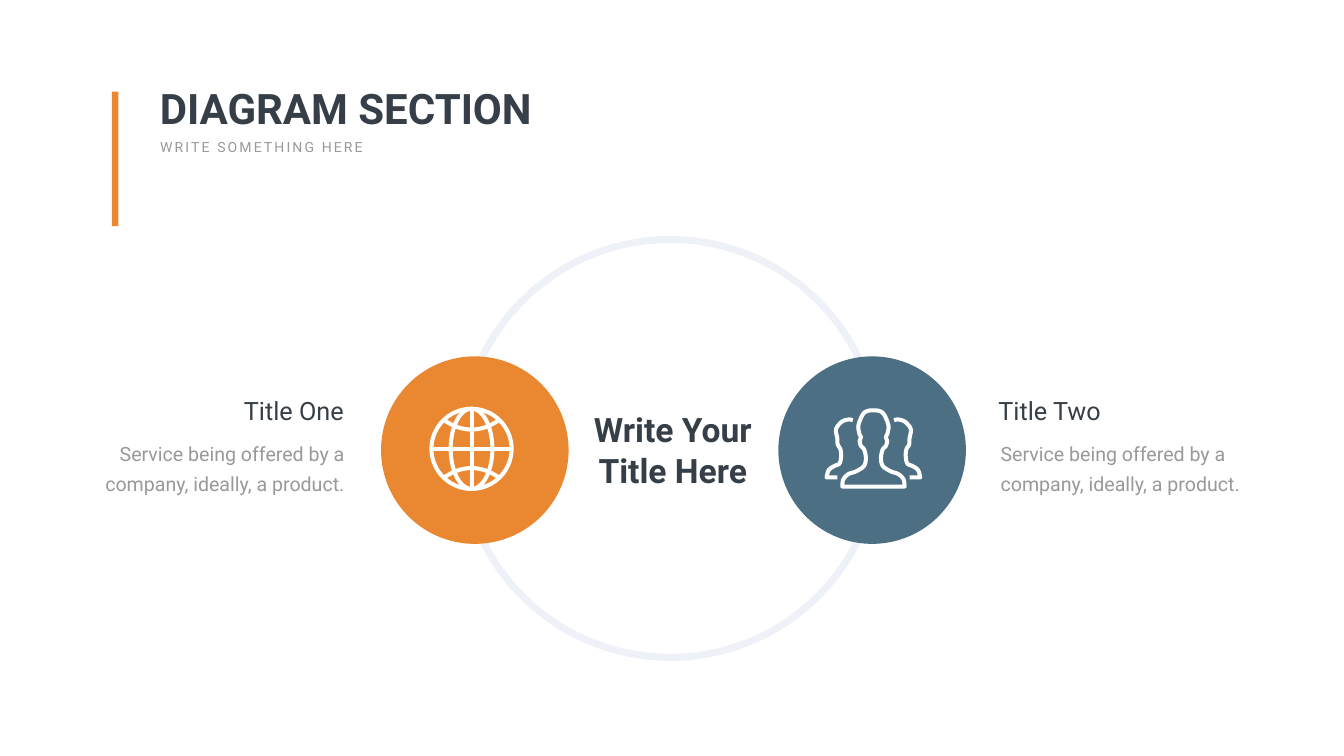
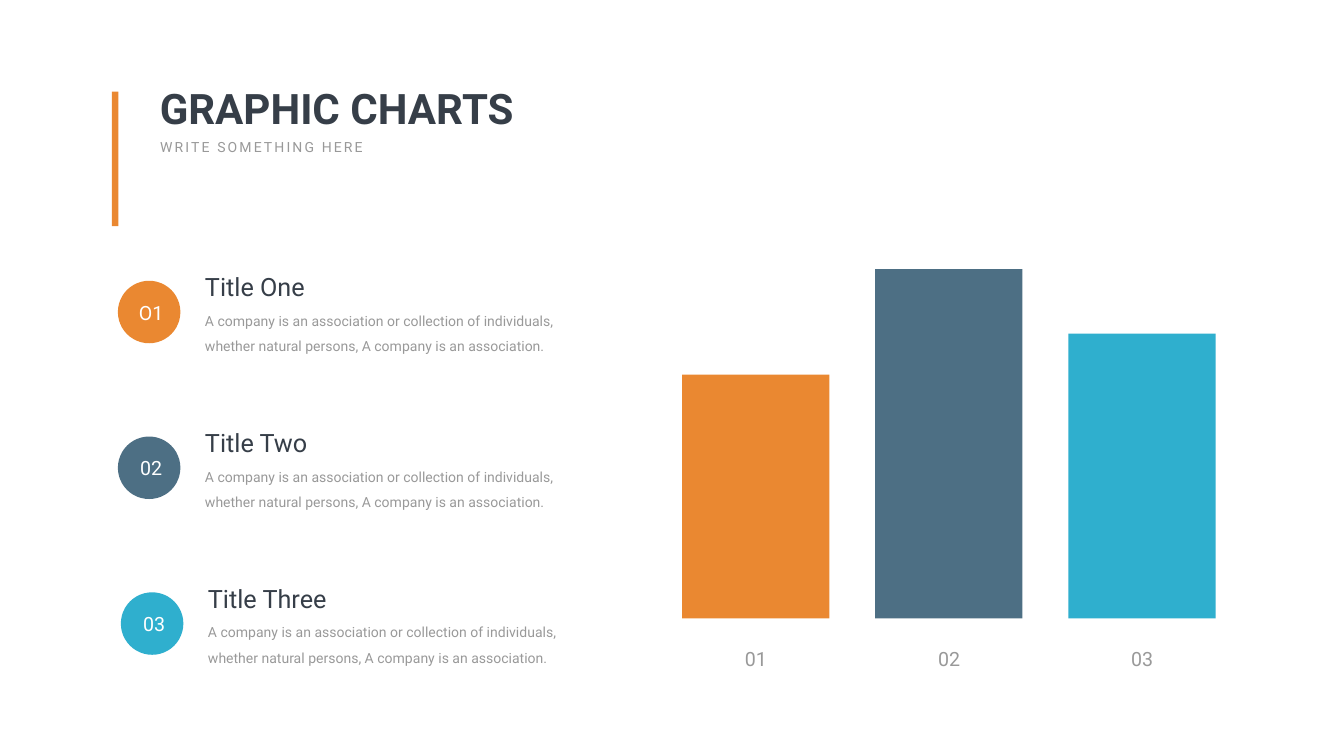
"""Build a two-slide deck: a circle diagram and a bar graphic."""
from dataclasses import dataclass
from math import cos, pi, sin

from pptx import Presentation
from pptx.dml.color import RGBColor
from pptx.enum.shapes import MSO_SHAPE
from pptx.enum.text import MSO_ANCHOR, MSO_AUTO_SIZE, PP_ALIGN
from pptx.shapes.autoshape import Shape
from pptx.slide import Slide
from pptx.text.text import TextFrame
from pptx.util import Cm, Length, Pt

LEFT, CENTER, RIGHT = PP_ALIGN.LEFT, PP_ALIGN.CENTER, PP_ALIGN.RIGHT
TOP = MSO_ANCHOR.TOP
NO_AUTOFIT = MSO_AUTO_SIZE.NONE
OVAL, RECTANGLE = MSO_SHAPE.OVAL, MSO_SHAPE.RECTANGLE

ORANGE = RGBColor(0xEA, 0x88, 0x31)
STEEL = RGBColor(0x4D, 0x6F, 0x84)
CYAN = RGBColor(0x2F, 0xAF, 0xCE)
DARK = RGBColor(0x36, 0x3E, 0x48)
GRAY = RGBColor(0x99, 0x99, 0x99)
PALE = RGBColor(0xEF, 0xF1, 0xF8)
WHITE = RGBColor(0xFF, 0xFF, 0xFF)

FONT = "Roboto"
TITLE_ONLY = 5
ICON_LINE = Pt(5.75)
SERVICE = "Service being offered by a company, ideally, a product."
COMPANY = ("A company is an association or collection of individuals, "
           "whether natural persons, A company is an association.")

Point = tuple[float, float]
Box = tuple[float, float, float, float]


@dataclass(frozen=True)
class Side:
    """One circle of the diagram with its caption."""
    title: str
    color: RGBColor
    circle_left: float
    title_left: float
    title_width: float
    body_left: float
    align: PP_ALIGN


@dataclass(frozen=True)
class Item:
    """One numbered list entry with its bar."""
    number: str
    bar_label: str
    title: str
    title_width: float
    color: RGBColor
    bar_height: float
    shift: float = 0


SIDES = (
    Side("Title One", ORANGE, 19.2, 11.91, 5.66, 4.24, RIGHT),
    Side("Title Two", STEEL, 39.22, 50.06, 5.77, 49.81, LEFT),
)
ITEMS = (
    Item("O1", "01", "Title One", 5.66, ORANGE, 12.29),
    Item("02", "02", "Title Two", 5.77, STEEL, 17.6),
    Item("03", "03", "Title Three", 6.63, CYAN, 14.35, 0.15),
)
HALF_PERSON = ((0, 0.11), (0.25, 0.13), (0.46, 0.23), (0.61, 0.46), (0.76, 0.89),
               (0.71, 1.27), (0.63, 1.47), (0.69, 1.65), (0.63, 1.9), (0.46, 2.1),
               (0.38, 2.54), (0.48, 2.92), (0.86, 3.18), (1.27, 3.33), (1.52, 3.6),
               (1.57, 3.95))
SIDE_PERSON = ((1.04, 0.61), (1.23, 0.57), (1.51, 0.64), (1.71, 0.79), (1.89, 1.09),
               (1.82, 1.52), (1.8, 1.83), (1.66, 2.08), (1.63, 2.44), (1.71, 2.79),
               (1.97, 2.92), (2.25, 3.12), (2.36, 3.49))


def write(tf: TextFrame, text: str, *, size: float, color: RGBColor, bold: bool = False,
          align: PP_ALIGN = LEFT, wrap: bool = True, tracking: float = 0,
          spacing: float | Length = 1.0, inset: tuple[float, float] = (0.25, 0.13)) -> None:
    """Fill a text frame with one formatted paragraph."""
    tf.auto_size = NO_AUTOFIT
    tf.word_wrap = wrap
    tf.vertical_anchor = TOP
    tf.margin_left = tf.margin_right = Cm(inset[0])
    tf.margin_top = tf.margin_bottom = Cm(inset[1])
    p = tf.paragraphs[0]
    p.alignment = align
    p.line_spacing = spacing
    r = p.add_run()
    r.text = text
    r.font.name = FONT
    r.font.size = Pt(size)
    r.font.bold = bold
    r.font.color.rgb = color
    if tracking:
        r._r.get_or_add_rPr().set("spc", str(round(tracking * 100)))


def add_text(s: Slide, box: Box, text: str, **fmt) -> None:
    """Add a text box, measured in centimetres."""
    tb = s.shapes.add_textbox(*(Cm(v) for v in box))
    write(tb.text_frame, text, **fmt)


def add_solid(s: Slide, kind: MSO_SHAPE, box: Box, color: RGBColor) -> None:
    """Add a filled shape without outline."""
    sp = s.shapes.add_shape(kind, *(Cm(v) for v in box))
    sp.shadow.inherit = False
    sp.fill.solid()
    sp.fill.fore_color.rgb = color
    sp.line.fill.background()


def set_outline(sp: Shape, color: RGBColor, width: Length) -> None:
    """Leave a shape unfilled with a plain outline."""
    sp.shadow.inherit = False
    sp.fill.background()
    sp.line.color.rgb = color
    sp.line.width = width


def add_icon(s: Slide, center: Point, strokes: list[list[Point]]) -> None:
    """Draw strokes, given relative to a point, as one white freeform."""
    moved = [[(Cm(center[0] + x), Cm(center[1] + y)) for x, y in stroke]
             for stroke in strokes]
    builder = s.shapes.build_freeform(*moved[0][0])
    for i, stroke in enumerate(moved):
        if i:
            builder.move_to(*stroke[0])
        builder.add_line_segments(stroke[1:], close=stroke[0] == stroke[-1])
    set_outline(builder.convert_to_shape(), WHITE, ICON_LINE)


def ellipse(rx: float, ry: float, steps: int = 72) -> list[Point]:
    """Return a closed ellipse around the origin."""
    angles = [2 * pi * (i % steps) / steps for i in range(steps + 1)]
    return [(rx * cos(a), ry * sin(a)) for a in angles]


def smooth(points: tuple[Point, ...], steps: int = 6) -> list[Point]:
    """Return a Catmull-Rom curve through the points."""
    padded = (points[0], *points, points[-1])
    curve = []
    for a, b, c, d in zip(padded, padded[1:], padded[2:], padded[3:]):
        for t in (i / steps for i in range(steps)):
            x, y = (
                (2 * k + (m - j) * t + (2 * j - 5 * k + 4 * m - n) * t ** 2
                 + (3 * k - j - 3 * m + n) * t ** 3) / 2
                for j, k, m, n in zip(a, b, c, d))
            curve.append((x, y))
    return [*curve, points[-1]]


def mirror(points: list[Point]) -> list[Point]:
    """Flip points around the vertical axis."""
    return [(-x, y) for x, y in points]


def add_globe(s: Slide, center: Point) -> None:
    """Draw a globe of circles, axes and two parallels."""
    radius = 2.02
    parallel = [(1.33 * t / 10, 0.97 + 0.44 * (t / 10) ** 2) for t in range(-10, 11)]
    add_icon(s, center, [
        ellipse(radius, radius),
        ellipse(1.05, radius),
        [(0, -radius), (0, radius)],
        [(-radius, 0), (radius, 0)],
        parallel,
        [(x, -y) for x, y in parallel],
    ])


def add_people(s: Slide, top_center: Point) -> None:
    """Draw one person in front of two others."""
    half = smooth(HALF_PERSON)
    side = [*smooth(SIDE_PERSON), (1.82, 3.49)]
    front = [*half, *reversed(mirror(half)[1:]), half[0]]
    add_icon(s, top_center, [front, side, mirror(side)])


def add_base(prs: Presentation, title: str) -> Slide:
    """Add a slide with the shared heading."""
    s = prs.slides.add_slide(prs.slide_layouts[TITLE_ONLY])
    heading = s.shapes.title
    heading.left, heading.top = Cm(7.8), Cm(4.04)
    heading.width, heading.height = Cm(26.39), Cm(2.82)
    write(heading.text_frame, title, size=60, color=DARK, bold=True)
    add_text(s, (7.82, 6.86, 11.05, 1.12), "WRITE SOMETHING HERE",
             size=20, color=GRAY, tracking=3, wrap=False)
    add_solid(s, RECTANGLE, (5.64, 4.62, 0.33, 6.78), ORANGE)
    return s


def build_diagram(prs: Presentation) -> None:
    """Build the ring with two captioned circles."""
    s = add_base(prs, "DIAGRAM SECTION")
    ring = s.shapes.add_shape(OVAL, Cm(23.24), Cm(12.07), Cm(21.06), Cm(21.06))
    set_outline(ring, PALE, Pt(10))
    for side in SIDES:
        add_solid(s, OVAL, (side.circle_left, 17.96, 9.45, 9.45), side.color)
        add_text(s, (side.title_left, 19.81, side.title_width, 1.8), side.title,
                 size=36, color=DARK, align=side.align, wrap=False)
        add_text(s, (side.body_left, 21.62, 13.72, 3.53), SERVICE, size=28, color=GRAY,
                 align=side.align, spacing=Pt(43), inset=(0.61, 0.3))
    add_text(s, (28.5, 20.5, 10.8, 4.37), "Write Your Title Here",
             size=48, color=DARK, bold=True, align=CENTER)
    add_globe(s, (23.76, 22.62))
    add_people(s, (44.01, 20.57))


def build_bars(prs: Presentation) -> None:
    """Build the numbered list and its bars."""
    s = add_base(prs, "GRAPHIC CHARTS")
    baseline, bar_width, bar_pitch, row_pitch = 31.17, 7.42, 9.73, 7.85
    for i, item in enumerate(ITEMS):
        bar_left = 34.37 + i * bar_pitch
        add_solid(s, RECTANGLE,
                  (bar_left, baseline - item.bar_height, bar_width, item.bar_height),
                  item.color)
        add_text(s, (bar_left - 0.51, 32.49, 8.46, 1.45), item.bar_label,
                 size=28, color=GRAY, align=CENTER)
        x, y = 5.94 + item.shift, 13.56 + i * row_pitch
        add_text(s, (x + 4.14, y + 1.63, 20.4, 2.67), COMPANY,
                 size=20, color=GRAY, spacing=1.5)
        add_text(s, (x + 4.14, y, item.title_width, 1.8), item.title,
                 size=36, color=DARK, wrap=False)
        add_solid(s, OVAL, (x, y + 0.59, 3.15, 3.15), item.color)
        add_text(s, (x + 0.81, y + 1.45, 1.73, 1.45), item.number,
                 size=28, color=WHITE, align=CENTER, wrap=False)


def main() -> None:
    """Build and save the deck."""
    prs = Presentation()
    prs.slide_width, prs.slide_height = Cm(67.72), Cm(38.1)
    build_diagram(prs)
    build_bars(prs)
    prs.save("out.pptx")


if __name__ == "__main__":
    main()
